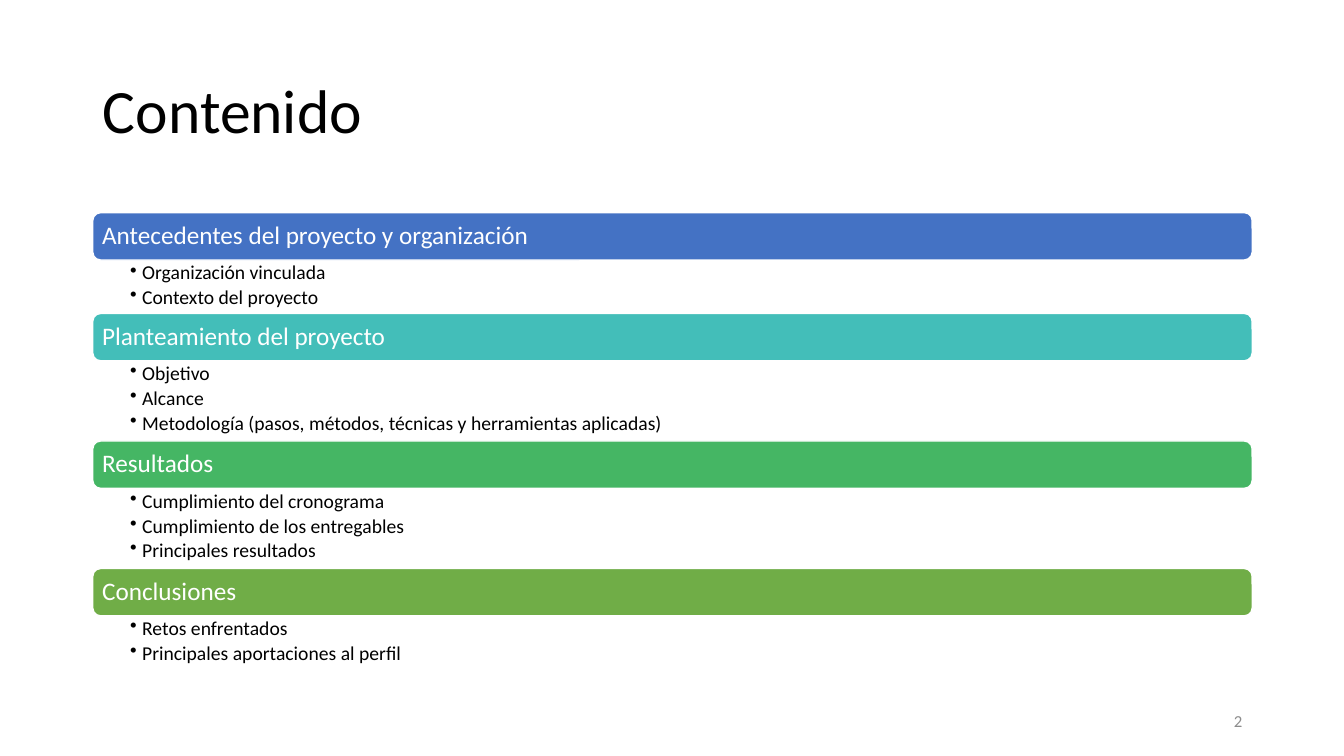
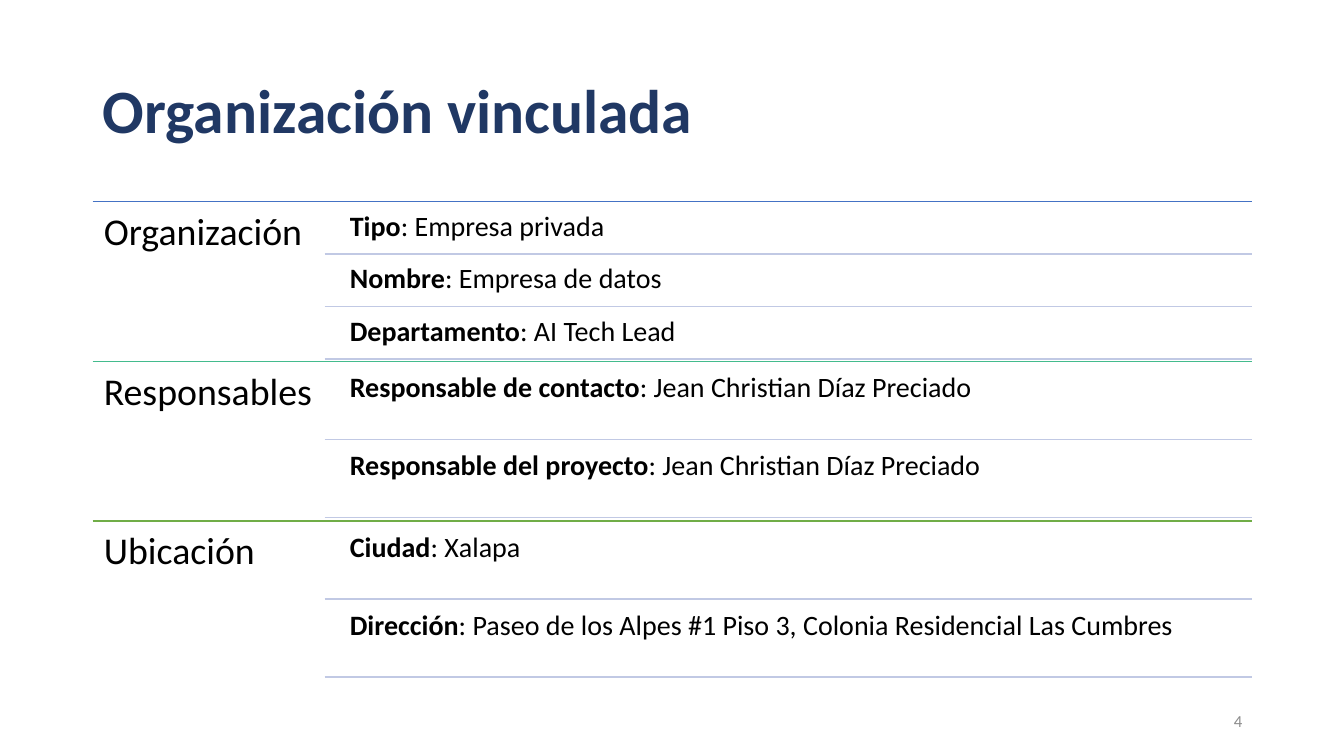
import pptx
import pptx.util
import pptx.dml.color
import pptx.enum.shapes
import pptx.enum.text
import pptx.oxml.ns
import lxml.etree

COLORS = {
    "text": "000000", "white": "FFFFFF", "navy": "203864", "number": "8C8C8C",
    "blue": "4472C4", "teal": "43BEB9", "emerald": "45B664", "mint": "43BB8D",
    "green": "70AD47", "rule": "C1C9E4",
}
FONT = "Calibri"
LEFT, WIDTH = 92, 1150
RIGHT = LEFT + WIDTH
ANCHOR = pptx.enum.text.MSO_ANCHOR
ALIGN = pptx.enum.text.PP_ALIGN
qn = pptx.oxml.ns.qn


def px(length):
    """Turn px (100 to the inch) into EMU."""
    return pptx.util.Emu(round(length * 9144))


def write(box, text, size, color="text", bold=False, lead="", insets=(10, 5, 10, 5),
          anchor=ANCHOR.TOP, align=ALIGN.LEFT, spacing=0.9, after=0, bullet=False):
    """Fill a box with one paragraph per line of text; lead is a bold opening."""
    frame = box.text_frame
    frame.word_wrap = True
    frame.auto_size = pptx.enum.text.MSO_AUTO_SIZE.NONE
    frame.vertical_anchor = anchor
    frame.margin_left, frame.margin_top, frame.margin_right, frame.margin_bottom = map(px, insets)
    for index, line in enumerate(text.split("\n")):
        para = frame.add_paragraph() if index else frame.paragraphs[0]
        para.alignment = align
        para.line_spacing = spacing
        para.space_before = pptx.util.Pt(0)
        para.space_after = pptx.util.Pt(after)
        if bullet:
            para.level = 1
            properties = para._p.get_or_add_pPr()
            properties.set("marL", str(px(12)))
            properties.set("indent", str(px(-12)))
            lxml.etree.SubElement(properties, qn("a:buChar")).set("char", "•")
        for words, heavy in ((lead, True), (line, bold)):
            if words:
                span = para.add_run()
                span.text = words
                span.font.name = FONT
                span.font.size = pptx.util.Pt(size)
                span.font.bold = heavy
                span.font.color.rgb = pptx.dml.color.RGBColor.from_string(COLORS[color])


deck = pptx.Presentation()
deck.slide_width, deck.slide_height = px(1333), px(750)

# Titles and page numbers
pages = []
for title, color, bold, number in (
    ("Contenido", "text", False, "2"),
    ("Organización vinculada", "navy", True, "4"),
):
    page = deck.slides.add_slide(deck.slide_layouts[5])
    heading = page.shapes.title
    heading.left, heading.top, heading.width, heading.height = map(px, (LEFT, 40, WIDTH, 145))
    write(heading, title, 44, color, bold, anchor=ANCHOR.MIDDLE)
    box = page.shapes.add_textbox(px(RIGHT - 300), px(695), px(300), px(40))
    write(box, number, 12, "number", anchor=ANCHOR.MIDDLE, align=ALIGN.RIGHT, spacing=1.0)
    pages.append(page)
contents, organization = pages

# Contents: coloured bars, each followed by its bullets
BAR_HEIGHT, BULLET_HEIGHT = 47, 26.5
top = 211
for name, color, topics in (
    ("Antecedentes del proyecto y organización", "blue",
     ["Organización vinculada", "Contexto del proyecto"]),
    ("Planteamiento del proyecto", "teal",
     ["Objetivo", "Alcance",
      "Metodología (pasos, métodos, técnicas y herramientas aplicadas)"]),
    ("Resultados", "emerald",
     ["Cumplimiento del cronograma", "Cumplimiento de los entregables",
      "Principales resultados"]),
    ("Conclusiones", "green",
     ["Retos enfrentados", "Principales aportaciones al perfil"]),
):
    bar = contents.shapes.add_shape(
        pptx.enum.shapes.MSO_SHAPE.ROUNDED_RECTANGLE,
        px(LEFT), px(top), px(WIDTH), px(BAR_HEIGHT))
    bar.shadow.inherit = False
    bar.fill.solid()
    bar.fill.fore_color.rgb = pptx.dml.color.RGBColor.from_string(COLORS[color])
    bar.line.color.rgb = pptx.dml.color.RGBColor.from_string(COLORS["white"])
    bar.line.width = pptx.util.Pt(1)
    write(bar, name, 18, "white", insets=(7, 7, 7, 7), anchor=ANCHOR.MIDDLE)
    top += BAR_HEIGHT
    height = BULLET_HEIGHT * len(topics)
    box = contents.shapes.add_textbox(px(LEFT), px(top), px(WIDTH), px(height))
    write(box, "\n".join(topics), 14, insets=(37, 3, 14, 3), after=2.5, bullet=True)
    top += height

# Organization: equal sections, each split into rows that are 20 gaps high
SECTION_TOP, SECTION_HEIGHT = 200, 158.5
LABEL_WIDTH, DETAIL_LEFT = 230, 339
rules = []
for index, (name, color, details) in enumerate((
    ("Organización", "blue",
     [("Tipo", "Empresa privada"), ("Nombre", "Empresa de datos"),
      ("Departamento", "AI Tech Lead")]),
    ("Responsables", "mint",
     [("Responsable de contacto", "Jean Christian Díaz Preciado"),
      ("Responsable del proyecto", "Jean Christian Díaz Preciado")]),
    ("Ubicación", "green",
     [("Ciudad", "Xalapa"),
      ("Dirección", "Paseo de los Alpes #1 Piso 3, Colonia Residencial Las Cumbres")]),
)):
    top = SECTION_TOP + index * SECTION_HEIGHT
    rules.append((LEFT, top, color))
    box = organization.shapes.add_textbox(px(LEFT), px(top), px(LABEL_WIDTH), px(SECTION_HEIGHT))
    write(box, name, 27, insets=(11, 11, 11, 11))
    gap = SECTION_HEIGHT / (21 * len(details) + 1)
    for row, (label, value) in enumerate(details):
        row_top = top + gap + row * 21 * gap
        box = organization.shapes.add_textbox(
            px(DETAIL_LEFT), px(row_top), px(RIGHT - DETAIL_LEFT), px(20 * gap))
        write(box, ": " + value, 20, lead=label, insets=(8, 8, 8, 8))
        rules.append((LEFT + LABEL_WIDTH, row_top + 20 * gap, "rule"))

# Rules between sections and rows
for left, top, color in rules:
    rule = organization.shapes.add_connector(
        pptx.enum.shapes.MSO_CONNECTOR.STRAIGHT, px(left), px(top), px(RIGHT), px(top))
    rule.line.color.rgb = pptx.dml.color.RGBColor.from_string(COLORS[color])
    rule.line.width = pptx.util.Pt(1)
    lxml.etree.SubElement(rule._element.spPr, qn("a:effectLst"))

deck.save("out.pptx")
